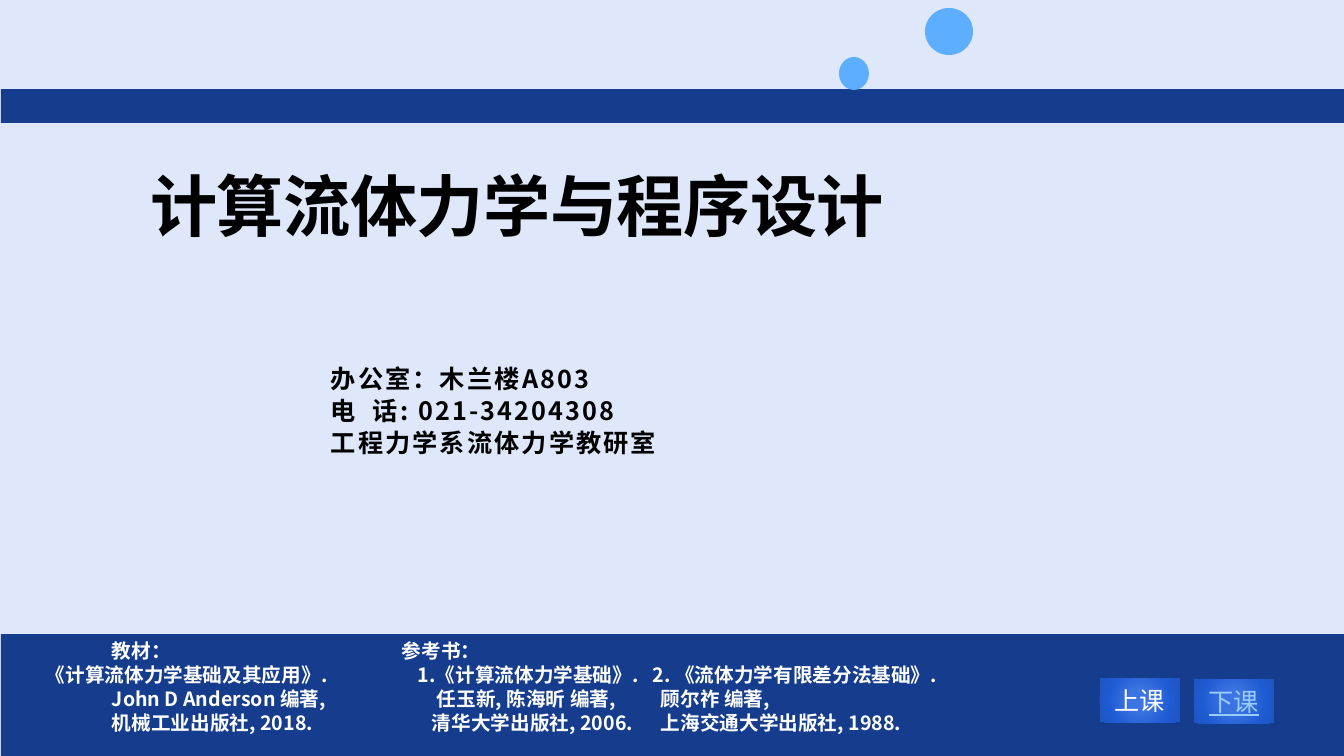
from dataclasses import dataclass

from lxml.etree import SubElement
from pptx import Presentation
from pptx.dml.color import RGBColor
from pptx.enum.shapes import MSO_SHAPE as Shape
from pptx.enum.text import MSO_ANCHOR as Anchor, PP_ALIGN as Align
from pptx.oxml.ns import qn
from pptx.util import Emu, Pt

EMU_PER_PX = 914400 / 100.8
NAVY, SKY, PALE, BLACK, WHITE = "153C8D", "5DAEFF", "DEE8FA", "000000", "FFFFFF"
CJK = "Noto Sans CJK SC"
GLOW = ((0, "3D74E2"), (23, "3D74E2"), (69, "1F5BD3"), (97, "1D55C5"))


@dataclass(frozen=True)
class Box:
    left: int
    top: int
    width: int
    height: int


@dataclass(frozen=True)
class Row:
    """One line of text: each phrase starts at its own distance from the left."""
    starts: tuple[int, ...]
    phrases: tuple[str, ...]


@dataclass(frozen=True)
class Button:
    box: Box
    label: str
    color: str
    underline: bool


BANDS = (Box(1, 89, 1343, 34), Box(1, 634, 1343, 131))
BUBBLES = (Box(925, 8, 48, 47), Box(839, 57, 30, 33))
CONTACT = (
    Row((101,), ("办公室：木兰楼A803",)),
    Row((101, 143), ("电", "话: 021-34204308")),
    Row((101,), ("工程力学系流体力学教研室",)),
)
BOOKS = (
    Row((101, 391), ("教材：", "参考书：")),
    Row((35, 407, 642), ("《计算流体力学基础及其应用》.", "1.《计算流体力学基础》.",
                         "2. 《流体力学有限差分法基础》.")),
    Row((101, 426, 650), ("John D Anderson 编著,", "任玉新, 陈海昕 编著,", "顾尔祚 编著,")),
    Row((101, 421, 650), ("机械工业出版社, 2018.", "清华大学出版社, 2006.",
                          "上海交通大学出版社, 1988.")),
)
BUTTONS = (
    Button(Box(1100, 678, 80, 44), "上课", WHITE, False),
    Button(Box(1194, 679, 80, 44), "下课", "99CCFF", True),
)


def px(value: int) -> Emu:
    return Emu(round(value * EMU_PER_PX))


def rgb(color: str) -> RGBColor:
    return RGBColor.from_string(color)


def place(box: Box) -> tuple[Emu, ...]:
    return tuple(px(v) for v in (box.left, box.top, box.width, box.height))


def write(paragraph, text: str, color: str, font: str = CJK, spacing: int = 0, **formats) -> None:
    run = paragraph.add_run()
    run.text = text
    for key, value in {"name": font, **formats}.items():
        setattr(run.font, key, value)
    run.font.color.rgb = rgb(color)
    properties = run._r.get_or_add_rPr()
    SubElement(properties, qn("a:ea"), {"typeface": CJK})
    if spacing:
        properties.set("spc", str(spacing))


def write_rows(frame, rows: tuple[Row, ...], pitch: int, color: str, **formats) -> None:
    for index, row in enumerate(rows):
        paragraph = frame.add_paragraph() if index else frame.paragraphs[0]
        layout = {"alignment": Align.LEFT, "line_spacing": Pt(pitch), "space_before": Pt(0)}
        for key, value in layout.items():
            setattr(paragraph, key, value)
        stops = SubElement(paragraph._p.get_or_add_pPr(), qn("a:tabLst"))
        for start in row.starts:
            SubElement(stops, qn("a:tab"), {"pos": str(px(start)), "algn": "l"})
        write(paragraph, "".join("\t" + phrase for phrase in row.phrases), color, **formats)


def set_frame(frame, **formats) -> None:
    for key, value in formats.items():
        setattr(frame, key, value)


def add_figure(slide, kind: Shape, box: Box, color: str):
    figure = slide.shapes.add_shape(kind, *place(box))
    figure.shadow.inherit = False
    figure.fill.solid()
    figure.fill.fore_color.rgb = rgb(color)
    figure.line.fill.background()
    return figure


def add_glow(figure) -> None:
    """Swap the plain fill for a gradient that spreads from the centre."""
    properties = figure._element.spPr
    gradient = SubElement(properties, qn("a:gradFill"), {"rotWithShape": "1"})
    stops = SubElement(gradient, qn("a:gsLst"))
    for percent, color in GLOW:
        stop = SubElement(stops, qn("a:gs"), {"pos": str(percent * 1000)})
        SubElement(stop, qn("a:srgbClr"), {"val": color})
    circle = SubElement(gradient, qn("a:path"), {"path": "circle"})
    SubElement(circle, qn("a:fillToRect"), dict.fromkeys("ltrb", "50000"))
    properties.replace(properties.find(qn("a:solidFill")), gradient)


def add_button(slide, button: Button) -> None:
    figure = add_figure(slide, Shape.ACTION_BUTTON_CUSTOM, button.box, GLOW[0][1])
    add_glow(figure)
    set_frame(figure.text_frame, margin_left=0, margin_right=0, margin_top=0,
              margin_bottom=0, vertical_anchor=Anchor.MIDDLE, word_wrap=True)
    label = figure.text_frame.paragraphs[0]
    label.alignment = Align.CENTER
    write(label, button.label, button.color, size=Pt(18), underline=button.underline)


def set_title(slide) -> None:
    title = slide.shapes.title
    title.left, title.top, title.width, title.height = place(Box(101, 106, 832, 139))
    set_frame(title.text_frame, vertical_anchor=Anchor.BOTTOM, margin_bottom=0, word_wrap=True)
    line = title.text_frame.paragraphs[0]
    line.alignment, line.line_spacing = Align.CENTER, 0.85
    write(line, "计算流体力学与程序设计", BLACK, "DejaVu Sans", -40, size=Pt(48), bold=True)


def main() -> None:
    deck = Presentation()
    deck.slide_width, deck.slide_height = px(1344), px(756)
    slide = deck.slides.add_slide(deck.slide_layouts[5])
    slide.background.fill.solid()
    slide.background.fill.fore_color.rgb = rgb(PALE)

    # Course title and contact details
    set_title(slide)
    contact = slide.shapes.add_textbox(*place(Box(220, 359, 469, 126)))
    set_frame(contact.text_frame, margin_top=px(2), word_wrap=True)
    write_rows(contact.text_frame, CONTACT, 23, BLACK, spacing=150, size=Pt(18), bold=True)

    # Bands, the lower one with the book list
    _, book_band = [add_figure(slide, Shape.RECTANGLE, band, NAVY) for band in BANDS]
    set_frame(book_band.text_frame, vertical_anchor=Anchor.TOP, word_wrap=True)
    write_rows(book_band.text_frame, BOOKS, 17, WHITE, size=Pt(14), bold=True)

    # Bubbles and buttons
    for bubble in BUBBLES:
        add_figure(slide, Shape.OVAL, bubble, SKY)
    for button in BUTTONS:
        add_button(slide, button)

    deck.save("out.pptx")


if __name__ == "__main__":
    main()
